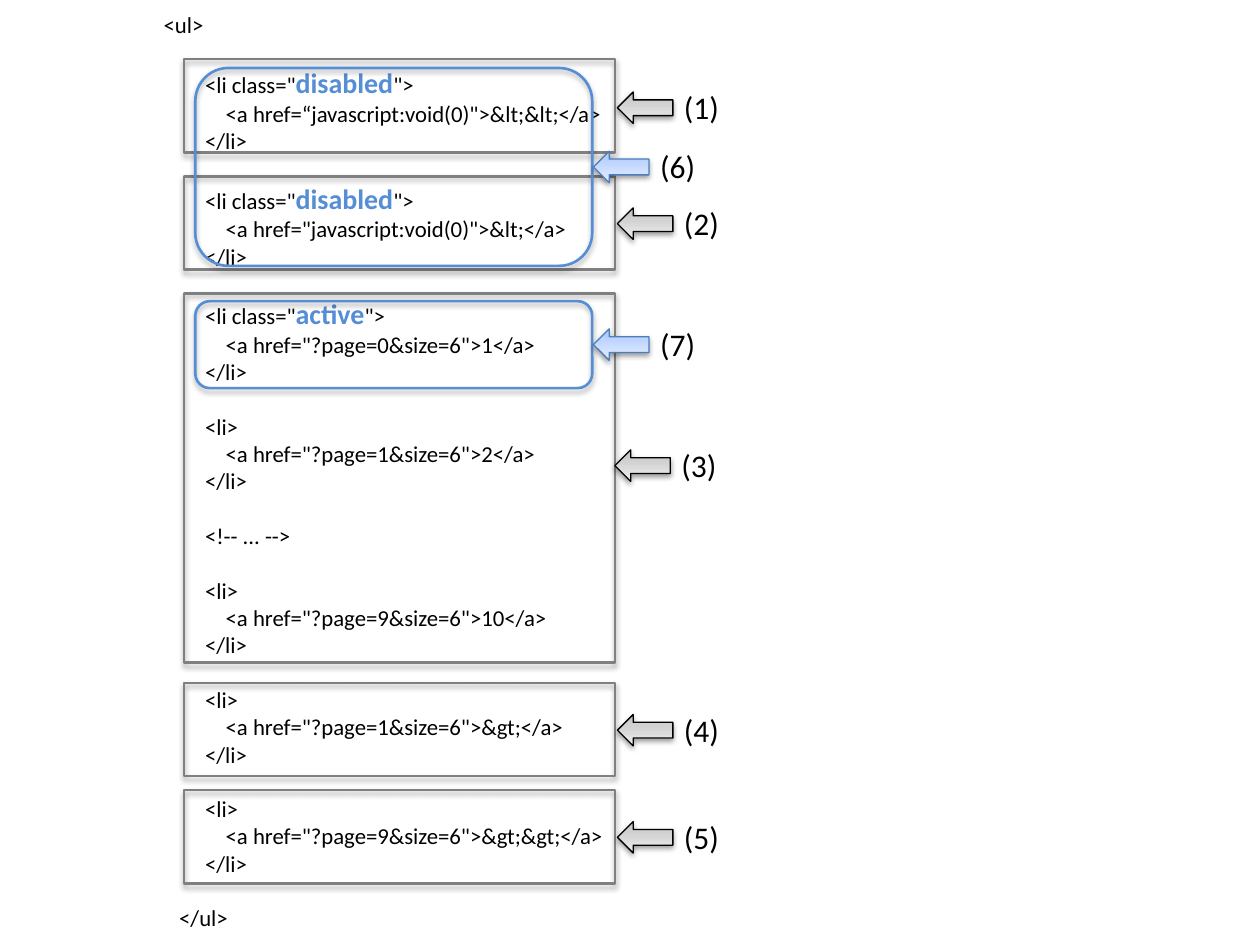
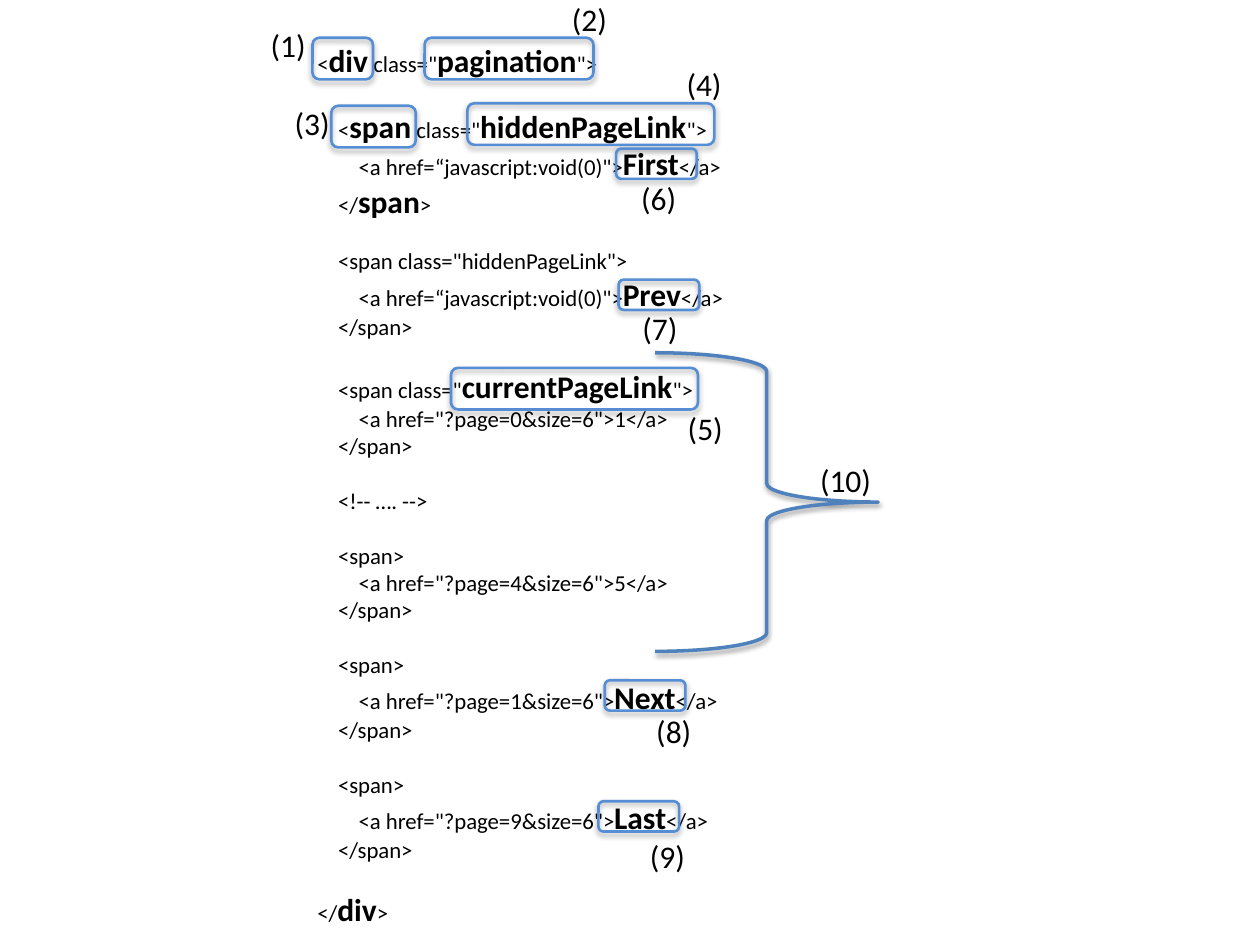
from pptx import Presentation
from pptx.dml.color import RGBColor
from pptx.enum.shapes import MSO_SHAPE as SHAPE
from pptx.enum.text import MSO_AUTO_SIZE as AUTO_SIZE
from pptx.oxml import parse_xml
from pptx.oxml.ns import nsdecls, qn
from pptx.util import Inches, Pt

FONT = "Calibri"
BLACK, GRAY, BLUE, BRACE_BLUE = "000000", "808080", "558ED5", "4F81BD"
CODE_SIZE, LABEL_SIZE = 13, 18
SPACE_WIDTH = 0.041    # inches of indent for one leading space of code
BLANK_LINE = 15.6      # points of spacing for one blank line of code
FRAME_SHADOW = (35, 3.1, 1.8)    # opacity %, blur pt, distance pt
SOLID_SHADOW = (38, 3.1, 1.6)
GRAY_ARROW = (("BDBDBD", "D1D1D1", "EEEEEE"), BLACK)
BLUE_ARROW = (("A4C4FF", "BFD4FF", "E6EEFF"), "4B7EBC")

# Code listings: words between asterisks are emphasised.
LIST_CODE = """\
 <ul>

         <li class="*disabled*">
             <a href=“javascript:void(0)">&lt;&lt;</a>
         </li>

         <li class="*disabled*">
             <a href="javascript:void(0)">&lt;</a>
         </li>

         <li class="*active*">
             <a href="?page=0&size=6">1</a>
         </li>

         <li>
             <a href="?page=1&size=6">2</a>
         </li>

         <!-- ... -->

         <li>
             <a href="?page=9&size=6">10</a>
         </li>

         <li>
             <a href="?page=1&size=6">&gt;</a>
         </li>

         <li>
             <a href="?page=9&size=6">&gt;&gt;</a>
         </li>

    </ul>"""

SPAN_CODE = """\
<*div* class="*pagination*">

    <*span* class="*hiddenPageLink*">
        <a href=“javascript:void(0)">*First*</a>
    </*span*>

    <span class="hiddenPageLink">
        <a href=“javascript:void(0)">*Prev*</a>
    </span>

    <span class="*currentPageLink*">
        <a href="?page=0&size=6">1</a>
    </span>

    <!-- …. -->

    <span>
        <a href="?page=4&size=6">5</a>
    </span>

    <span>
        <a href="?page=1&size=6">*Next*</a>
    </span>

    <span>
        <a href="?page=9&size=6">*Last*</a>
    </span>

</*div*>"""

# Slide 1: (top, height) of each frame
ITEM_FRAMES = [(0.47, 0.74), (1.4, 0.74), (2.33, 2.93), (5.42, 0.74), (6.27, 0.74)]
STATE_FRAMES = [(0.54, 1.57), (2.39, 0.69)]
# (number, arrow left, arrow top, arrow style)
POINTERS = [
    (1, 4.9, 0.73, GRAY_ARROW), (2, 4.9, 1.65, GRAY_ARROW),
    (3, 4.88, 3.57, GRAY_ARROW), (4, 4.9, 5.67, GRAY_ARROW),
    (5, 4.9, 6.52, GRAY_ARROW), (6, 4.71, 1.2, BLUE_ARROW),
    (7, 4.71, 2.61, BLUE_ARROW),
]

# Slide 2: (left, top, width) of class and tag frames, (left, top) of link frames
NAME_FRAMES = [(2.48, 0.3, 0.48), (3.37, 0.3, 1.34), (2.63, 0.84, 0.67),
               (3.71, 0.82, 1.96), (3.58, 2.92, 1.96)]
LINK_FRAMES = [(4.89, 1.18), (4.91, 2.22), (4.8, 5.4), (4.75, 6.36)]
# (left, top) of the labels (1), (2), ...
LABELS = [(2.05, 0.16), (4.44, -0.05), (2.24, 0.78), (5.35, 0.47), (5.36, 3.2),
          (4.99, 1.37), (5, 2.4), (5.11, 5.6), (5.06, 6.59), (6.41, 3.61)]


def rgb(color):
    return RGBColor.from_string(color)


def add_run(p, text, size=CODE_SIZE, color=BLACK, bold=False):
    r = p.add_run()
    r.text = text
    r.font.name, r.font.size, r.font.bold = FONT, Pt(size), bold
    r.font.color.rgb = rgb(color)


def add_text_frame(slide, *box):
    tf = slide.shapes.add_textbox(*map(Inches, box)).text_frame
    tf.word_wrap = True
    tf.auto_size = AUTO_SIZE.SHAPE_TO_FIT_TEXT
    return tf


def add_code(slide, code, box, **emphasis):
    """Turn leading spaces into indents and blank lines into paragraph spacing."""
    tf = add_text_frame(slide, *box)
    p, blanks = tf.paragraphs[0], 0
    for i, line in enumerate(code.split("\n")):
        text = line.lstrip()
        if not text:
            blanks += 1
            continue
        if i:
            p = tf.add_paragraph()
        indent = Inches((len(line) - len(text)) * SPACE_WIDTH)
        p._p.get_or_add_pPr().set("marL", str(indent))
        p.space_before = Pt(blanks * BLANK_LINE)
        blanks = 0
        for k, part in enumerate(text.split("*")):
            if part:
                add_run(p, part, **(dict(emphasis, bold=True) if k % 2 else {}))


def add_label(slide, number, left, top):
    tf = add_text_frame(slide, left, top, 0.48 if number < 10 else 0.79, 0.4)
    add_run(tf.paragraphs[0], f"({number})", size=LABEL_SIZE)


def add_outline(slide, kind, box, color, width=1.5, shadow=FRAME_SHADOW, stops=None):
    """Add a shape with a soft shadow, unfilled unless gradient stops are given."""
    sp = slide.shapes.add_shape(kind, *map(Inches, box))
    if stops:
        gs = "".join(f'<a:gs pos="{pos}"><a:srgbClr val="{c}"/></a:gs>'
                     for pos, c in zip((0, 35000, 100000), stops))
        sp._element.spPr.insert(2, parse_xml(
            f'<a:gradFill {nsdecls("a")} rotWithShape="1"><a:gsLst>{gs}</a:gsLst>'
            '<a:lin ang="16200000" scaled="1"/></a:gradFill>'))
    else:
        sp.fill.background()
    sp.line.color.rgb = rgb(color)
    sp.line.width = Pt(width)
    sp.shadow.inherit = False
    opacity, blur, distance = shadow
    sp._element.spPr.find(qn("a:effectLst")).append(parse_xml(
        f'<a:outerShdw {nsdecls("a")} blurRad="{Pt(blur)}" dist="{Pt(distance)}" '
        f'dir="5400000" rotWithShape="0"><a:srgbClr val="{BLACK}">'
        f'<a:alpha val="{opacity * 1000}"/></a:srgbClr></a:outerShdw>'))
    return sp


def build_list_slide(slide):
    add_code(slide, LIST_CODE, (1.16, 0.04, 5.05, 7.47), size=16, color=BLUE)
    for top, height in ITEM_FRAMES:
        add_outline(slide, SHAPE.RECTANGLE, (1.46, top, 3.42, height), GRAY)
    for top, height in STATE_FRAMES:
        add_outline(slide, SHAPE.ROUNDED_RECTANGLE, (1.55, top, 3.15, height), BLUE)
    for number, left, top, (stops, line) in POINTERS:
        arrow = add_outline(slide, SHAPE.RIGHT_ARROW, (left, top, 0.44, 0.25), line,
                            width=0.75, shadow=SOLID_SHADOW, stops=stops)
        arrow.rotation = 180
        add_label(slide, number, left + 0.43, top - 0.08)


def build_span_slide(slide):
    add_code(slide, SPAN_CODE, (2.42, 0.28, 5.05, 7.2), size=18)
    frames = [(*place, 0.33) for place in NAME_FRAMES]
    frames += [(*place, 0.64, 0.24) for place in LINK_FRAMES]
    for box in frames:
        add_outline(slide, SHAPE.ROUNDED_RECTANGLE, box, BLUE)
    for number, place in enumerate(LABELS, 1):
        add_label(slide, number, *place)
    add_outline(slide, SHAPE.RIGHT_BRACE, (5.2, 2.8, 1.77, 2.37), BRACE_BLUE,
                width=2, shadow=SOLID_SHADOW)


def main():
    prs = Presentation()
    prs.slide_width, prs.slide_height = Inches(10), Inches(7.5)
    blank = prs.slide_layouts[6]
    for build in (build_list_slide, build_span_slide):
        build(prs.slides.add_slide(blank))
    prs.save("out.pptx")


if __name__ == "__main__":
    main()
